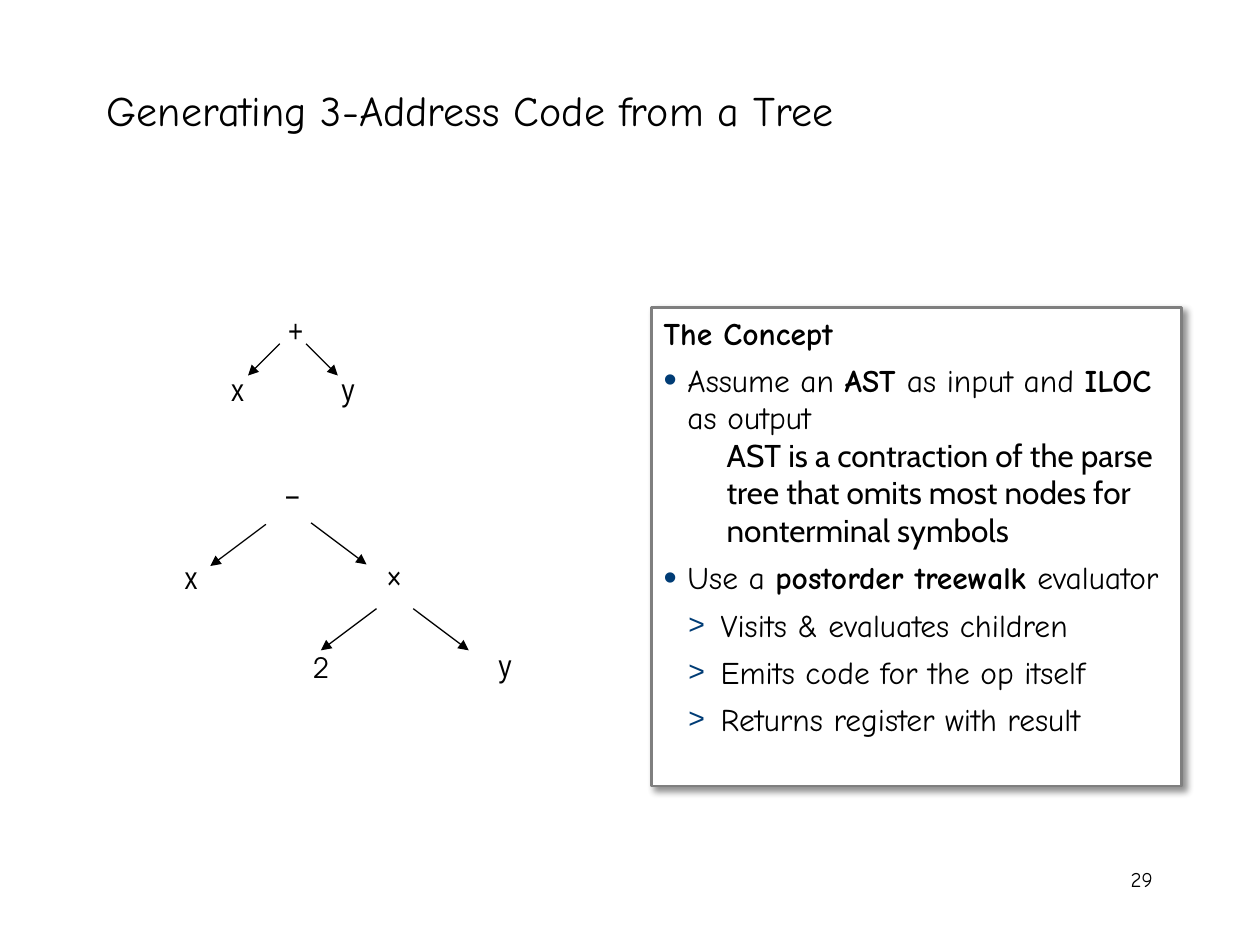
from dataclasses import dataclass
from lxml.etree import SubElement
from pptx import Presentation
from pptx.dml.color import RGBColor
from pptx.enum.shapes import MSO_CONNECTOR, MSO_SHAPE
from pptx.enum.text import MSO_ANCHOR, MSO_AUTO_SIZE, PP_ALIGN
from pptx.oxml.ns import qn
from pptx.util import Cm, Pt


@dataclass(frozen=True)
class Theme:
    """Colours, fonts and type sizes."""
    ink: str = "000000"
    paper: str = "FFFFFF"
    frame: str = "7F7F7F"
    mark: str = "003C75"
    main: str = "Comic Neue"
    aside: str = "Cabin"
    node: str = "Arial Narrow"
    digit: str = "TeX Gyre Adventor"
    title: int = 24
    body: int = 18
    small: int = 16
    foot: int = 12


class Deck:
    """Draws styled elements on the current slide."""

    def __init__(self, theme):
        self.theme = theme
        self.show = Presentation()
        self.show.slide_width, self.show.slide_height = Cm(25.4), Cm(19.05)
        self.slide = self.show.slides.add_slide(self.show.slide_layouts[5])

    def run(self, para, text, size, font, bold=False):
        """Add one styled run."""
        run = para.add_run()
        run.text = text
        run.font.size, run.font.name, run.font.bold = Pt(size), font, bold
        run.font.color.rgb = RGBColor.from_string(self.theme.ink)

    def frame(self, shape, anchor=MSO_ANCHOR.TOP):
        """Prepare the text frame of a shape."""
        frame = shape.text_frame
        frame.word_wrap, frame.auto_size = True, MSO_AUTO_SIZE.NONE
        frame.vertical_anchor = anchor
        return frame

    def title(self, text, left, top, wide, high):
        """Place and fill the title."""
        shape = self.slide.shapes.title
        shape.left, shape.top = Cm(left), Cm(top)
        shape.width, shape.height = Cm(wide), Cm(high)
        para = self.frame(shape, MSO_ANCHOR.MIDDLE).paragraphs[0]
        para.alignment = PP_ALIGN.LEFT
        self.run(para, text, self.theme.title, self.theme.main)

    def label(self, home, text, place, size, font, align=PP_ALIGN.CENTER):
        """Add a one-line text box."""
        shape = home.add_textbox(*map(Cm, place))
        para = self.frame(shape).paragraphs[0]
        para.alignment = align
        self.run(para, text, size, font)

    def arrow(self, home, x, y, dx, dy):
        """Add an arrow from a parent to a child."""
        line = home.add_connector(
            MSO_CONNECTOR.STRAIGHT, Cm(x), Cm(y), Cm(x + dx), Cm(y + dy))
        line.line.color.rgb = RGBColor.from_string(self.theme.ink)
        line.line.width = Pt(0.75)
        SubElement(line.line._get_or_add_ln(), qn("a:tailEnd"), type="triangle")
        SubElement(line._element.spPr, qn("a:effectLst"))

    def tree(self, size, nodes, step, edges):
        """Add a grouped tree of nodes and arrows."""
        home = self.slide.shapes.add_group_shape().shapes
        for text, x, y in nodes:
            font, points = self.theme.node, self.theme.body
            if text.isdigit():
                font, points = self.theme.digit, self.theme.small
            self.label(home, text, (x, y, *size), points, font)
        for x, y, side in edges:
            self.arrow(home, x, y, side * step[0], step[1])

    def card(self, left, top, wide, high):
        """Add a framed box with a soft shadow and return its text frame."""
        shape = self.slide.shapes.add_shape(
            MSO_SHAPE.RECTANGLE, Cm(left), Cm(top), Cm(wide), Cm(high))
        shape.fill.solid()
        shape.fill.fore_color.rgb = RGBColor.from_string(self.theme.paper)
        shape.line.color.rgb = RGBColor.from_string(self.theme.frame)
        shape.line.width = Pt(1.5)
        shape.shadow.inherit = False
        glow = SubElement(
            shape._element.spPr.find(qn("a:effectLst")), qn("a:outerShdw"),
            blurRad=str(Pt(4)), dist=str(Pt(3)), dir=str(45 * 60000),
            algn="tl", rotWithShape="0")
        tint = SubElement(glow, qn("a:srgbClr"), val=self.theme.ink)
        SubElement(tint, qn("a:alpha"), val="43000")
        return self.frame(shape)

    def para(self, frame, runs, font, level=0, edge=0, hang=0, mark="", scale=100):
        """Add a paragraph of (text, bold) runs, with a bullet if marked."""
        para = frame.paragraphs[0]
        if para.runs:
            para = frame.add_paragraph()
        para.alignment, para.level = PP_ALIGN.LEFT, level
        props = para._p.get_or_add_pPr()
        props.set("marL", str(Cm(edge)))
        props.set("indent", str(Cm(-hang)))
        if mark:
            para.line_spacing, para.space_before = Pt(21), Pt(6)
            tint = SubElement(props, qn("a:buClr"))
            SubElement(tint, qn("a:srgbClr"), val=self.theme.mark)
            SubElement(props, qn("a:buSzPct"), val=str(scale * 1000))
            SubElement(props, qn("a:buFont"), typeface="Arial")
            SubElement(props, qn("a:buChar"), char=mark)
        for text, bold in runs:
            self.run(para, text, self.theme.body, font, bold)


def main():
    theme = Theme()
    deck = Deck(theme)
    deck.title("Generating 3-Address Code from a Tree", 1.9, 1.47, 21.59, 1.47)
    deck.label(deck.slide.shapes, "29", (18.21, 17.35, 5.28, 1.27),
               theme.foot, theme.main, PP_ALIGN.RIGHT)

    deck.tree(
        (1.47, 1.37),
        [("−", 5.16, 9.5), ("×", 7.21, 11.13), ("x", 3.12, 11.13),
         ("y", 9.45, 12.9), ("2", 5.74, 12.98)],
        (1.12, 0.84),
        [(5.36, 10.57, -1), (7.59, 12.27, -1), (8.33, 12.27, 1), (6.27, 10.54, 1)])

    card = deck.card(13.13, 6.2, 10.69, 9.65)
    point = dict(font=theme.main, edge=0.48, hang=0.48, mark="•", scale=120)
    deck.para(card, [("The Concept", True)], theme.main)
    deck.para(card, [("Assume an ", False), ("AST ", True), ("as input and ", False),
                     ("ILOC ", True), ("as output", False)], **point)
    deck.para(card, [("AST is a contraction of the parse tree that omits most "
                      "nodes for nonterminal symbols", False)],
              theme.aside, level=1, edge=1.27)
    deck.para(card, [("Use a ", False), ("postorder treewalk ", True),
                     ("evaluator", False)], **point)
    for text in ("Visits & evaluates children", "Emits code for the op itself",
                 "Returns register with result"):
        deck.para(card, [(text, False)], theme.main, level=1,
                  edge=1.15, hang=0.65, mark=">", scale=90)

    deck.tree(
        (0.84, 1.02),
        [("+", 5.54, 6.15), ("x", 4.37, 7.34), ("y", 6.6, 7.34)],
        (0.64, 0.64),
        [(5.64, 6.93, -1), (6.17, 6.93, 1)])
    deck.show.save("out.pptx")


if __name__ == "__main__":
    main()
